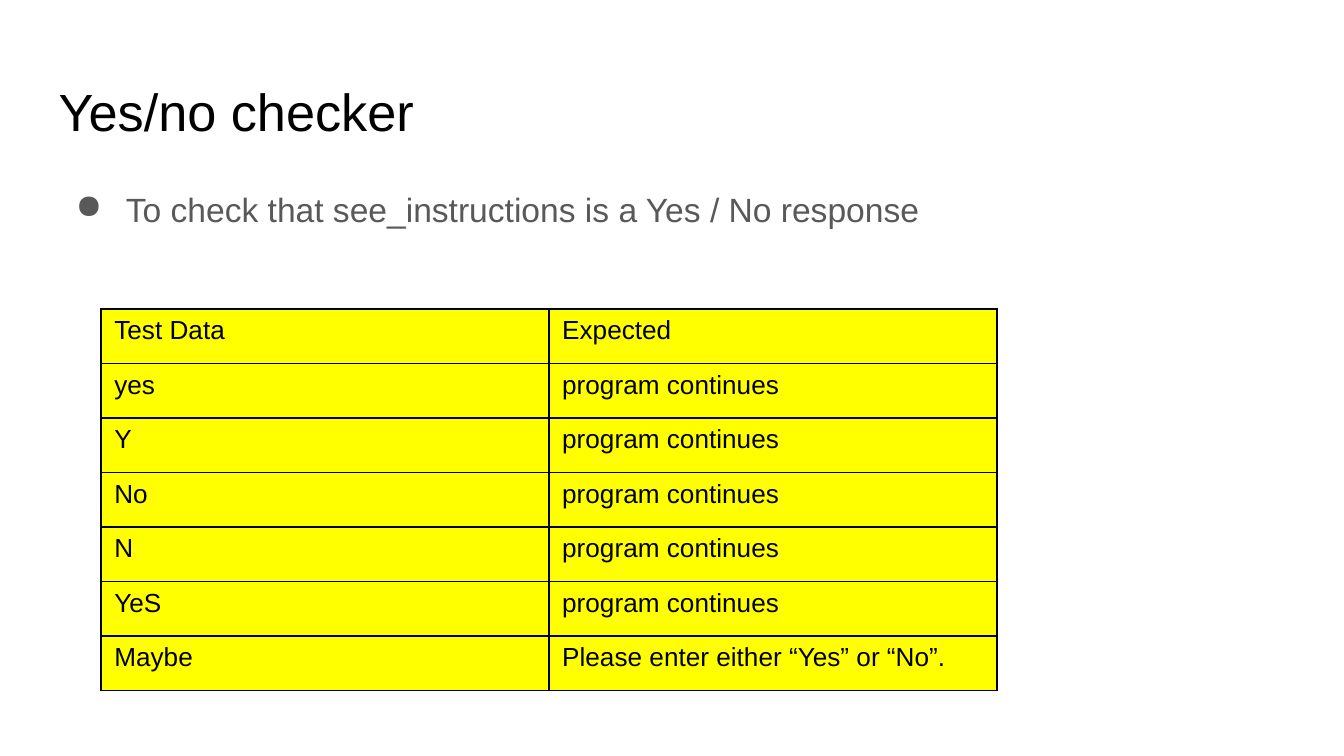
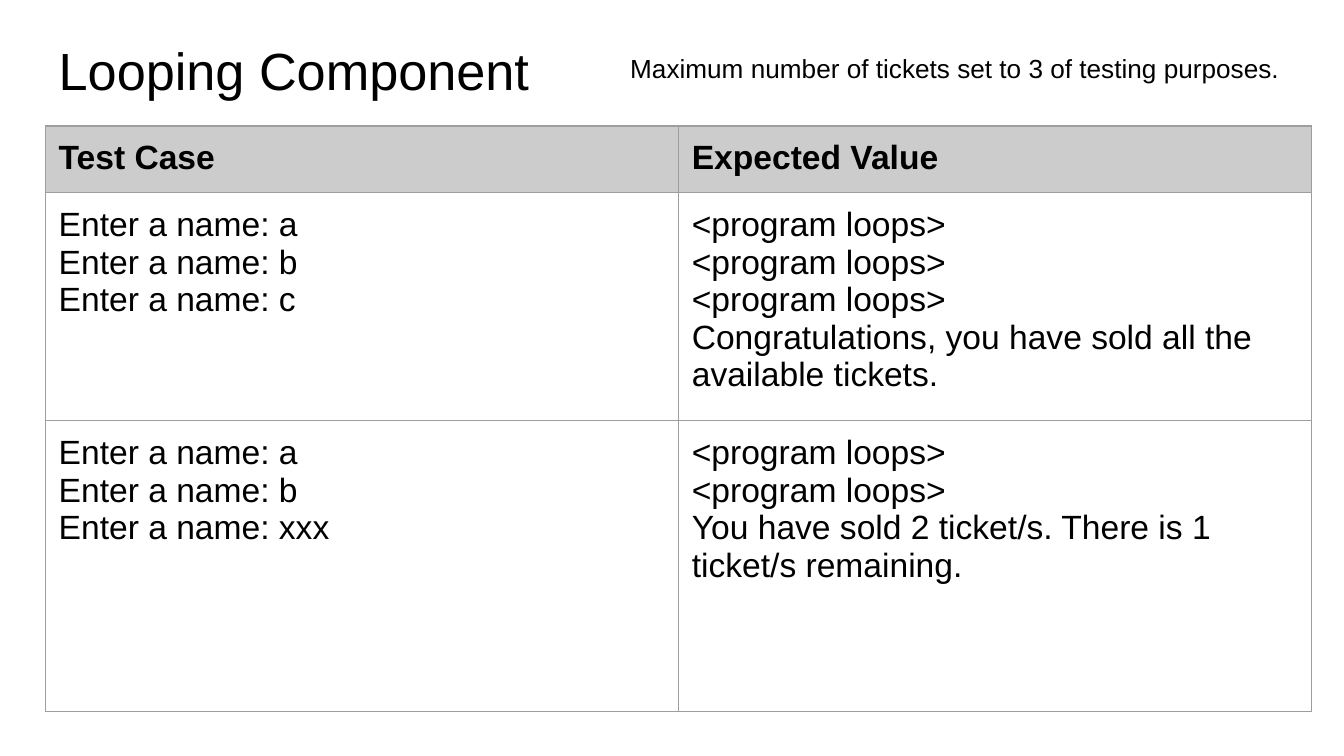
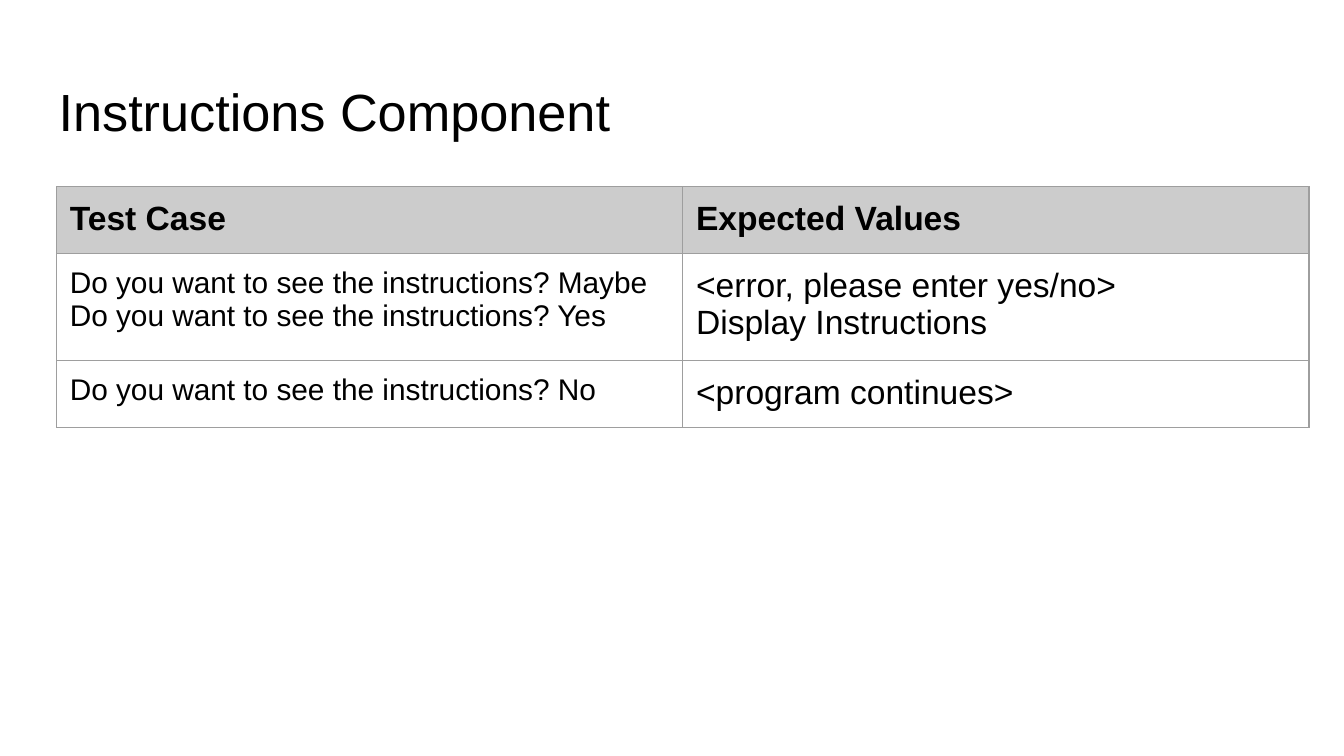
import pptx
import pptx.util
import pptx.dml.color
import pptx.enum.text
import pptx.oxml
from pptx.oxml.ns import nsdecls
from pptx.util import Cm, Pt

FONT = "Arial"
COLORS = {
    "black": "000000",
    "body": "595959",
    "highlight": "FFFF00",
    "header": "CCCCCC",
    "rule": "9E9E9E",
}
LEFT = 0.86
INSET = 0.25
TITLE_SIZE = 28

# Positions, widths and heights are in centimetres, text sizes in points.
STYLES = {
    "highlighted": {
        "header_fill": "highlight", "body_fill": "highlight", "bold_header": False,
        "border": "black", "border_width": 1, "header_size": 14, "margin": 0.13,
    },
    "ruled": {
        "header_fill": "header", "body_fill": None, "bold_header": True,
        "border": "rule", "border_width": 0.75, "header_size": 18, "margin": INSET,
    },
}

CONTINUES = "program continues"
LOOPS = "<program loops>"

SLIDES = [
    {
        "title": "Yes/no checker",
        "title_place": (LEFT, 1.24, 23.67, 1.6),
        "bullet": "To check that see_instructions is a Yes / No response",
        "table": {
            "style": "highlighted",
            "place": (1.91, 5.84, 16.93),
            "heights": [1.03] * 7,
            "body_sizes": (14, 14),
            "rows": [
                ("Test Data", "Expected"),
                ("yes", CONTINUES),
                ("Y", CONTINUES),
                ("No", CONTINUES),
                ("N", CONTINUES),
                ("YeS", CONTINUES),
                ("Maybe", "Please enter either “Yes” or “No”."),
            ],
        },
    },
    {
        "title": "Looping Component",
        "title_place": (LEFT, 0.48, 10.34, 1.6),
        "table": {
            "style": "ruled",
            "place": (LEFT, 2.38, 23.93),
            "heights": [1.22, 4.06, 5.49],
            "body_sizes": (18, 18),
            "rows": [
                ("Test Case", "Expected Value"),
                ("Enter a name: a\nEnter a name: b\nEnter a name: c",
                 f"{LOOPS}\n{LOOPS}\n{LOOPS}\n"
                 "Congratulations, you have sold all the available tickets."),
                ("Enter a name: a\nEnter a name: b\nEnter a name: xxx",
                 f"{LOOPS}\n{LOOPS}\n"
                 "You have sold 2 ticket/s. There is 1 ticket/s remaining."),
            ],
        },
        "note": "Maximum number of tickets set to 3 of testing purposes.",
    },
    {
        "title": "Instructions Component",
        "title_place": (LEFT, 1.24, 23.67, 1.6),
        "table": {
            "style": "ruled",
            "place": (1.07, 3.53, 23.67),
            "heights": [1.22, 1.93, 1.22],
            "body_sizes": (16, 18),
            "rows": [
                ("Test Case", "Expected Values"),
                ("Do you want to see the instructions? Maybe\n"
                 "Do you want to see the instructions? Yes",
                 "<error, please enter yes/no>\nDisplay Instructions"),
                ("Do you want to see the instructions? No", "<program continues>"),
            ],
        },
    },
]
BULLET_PLACE = (LEFT, 3.2, 23.11, 1.85)
NOTE_PLACE = (11.66, 0.86, 13.74, 0.86)


def write(frame, text, size, color="black", bold=False):
    frame.text = text
    for para in frame.paragraphs:
        para.font.name = FONT
        para.font.size = Pt(size)
        para.font.bold = bold
        para.font.color.rgb = pptx.dml.color.RGBColor.from_string(COLORS[color])


def add_text(page, place, text, size, color="black", vertical_inset=INSET):
    box = page.shapes.add_textbox(*map(Cm, place))
    frame = box.text_frame
    frame.word_wrap = True
    frame.margin_left = frame.margin_right = Cm(INSET)
    frame.margin_top = frame.margin_bottom = Cm(vertical_inset)
    write(frame, text, size, color)
    return frame


def add_bullet(page, text):
    para = add_text(page, BULLET_PLACE, text, 18, "body").paragraphs[0]
    para.line_spacing = 1.15
    props = para._p.get_or_add_pPr()
    props.set("marL", str(Cm(1.27)))
    props.set("indent", str(Cm(-0.95)))
    mark = pptx.oxml.parse_xml(f'<a:buChar {nsdecls("a")} char="●"/>')
    props.find(pptx.oxml.ns.qn("a:defRPr")).addprevious(mark)


def set_borders(cell, color, width):
    props = cell._tc.get_or_add_tcPr()
    for position, side in enumerate("LRTB"):
        props.insert(position, pptx.oxml.parse_xml(
            f'<a:ln{side} {nsdecls("a")} w="{Pt(width)}"><a:solidFill>'
            f'<a:srgbClr val="{COLORS[color]}"/></a:solidFill></a:ln{side}>'))


def fill_cell(cell, text, size, style, is_header):
    cell.margin_left = cell.margin_right = Cm(INSET)
    cell.margin_top = cell.margin_bottom = Cm(style["margin"])
    write(cell.text_frame, text, size, bold=is_header and style["bold_header"])
    fill = style["header_fill"] if is_header else style["body_fill"]
    if fill:
        cell.fill.solid()
        cell.fill.fore_color.rgb = pptx.dml.color.RGBColor.from_string(COLORS[fill])
    else:
        cell.fill.background()
    set_borders(cell, style["border"], style["border_width"])


def add_table(page, content):
    rows, heights = content["rows"], content["heights"]
    style = STYLES[content["style"]]
    left, top, width = content["place"]
    table = page.shapes.add_table(
        len(rows), len(rows[0]), Cm(left), Cm(top), Cm(width), Cm(sum(heights))).table
    table.first_row = table.horz_banding = False
    for row, (texts, height) in enumerate(zip(rows, heights)):
        table.rows[row].height = Cm(height)
        for column, text in enumerate(texts):
            is_header = row == 0
            size = style["header_size"] if is_header else content["body_sizes"][column]
            fill_cell(table.cell(row, column), text, size, style, is_header)


def main():
    deck = pptx.Presentation()
    deck.slide_width, deck.slide_height = Cm(25.4), Cm(14.29)
    blank = deck.slide_layouts[6]
    for content in SLIDES:
        page = deck.slides.add_slide(blank)
        add_text(page, content["title_place"], content["title"], TITLE_SIZE)
        if "bullet" in content:
            add_bullet(page, content["bullet"])
        add_table(page, content["table"])
        if "note" in content:
            note = add_text(page, NOTE_PLACE, content["note"], 14, vertical_inset=0.13)
            note.auto_size = pptx.enum.text.MSO_AUTO_SIZE.SHAPE_TO_FIT_TEXT
    deck.save("out.pptx")


if __name__ == "__main__":
    main()
